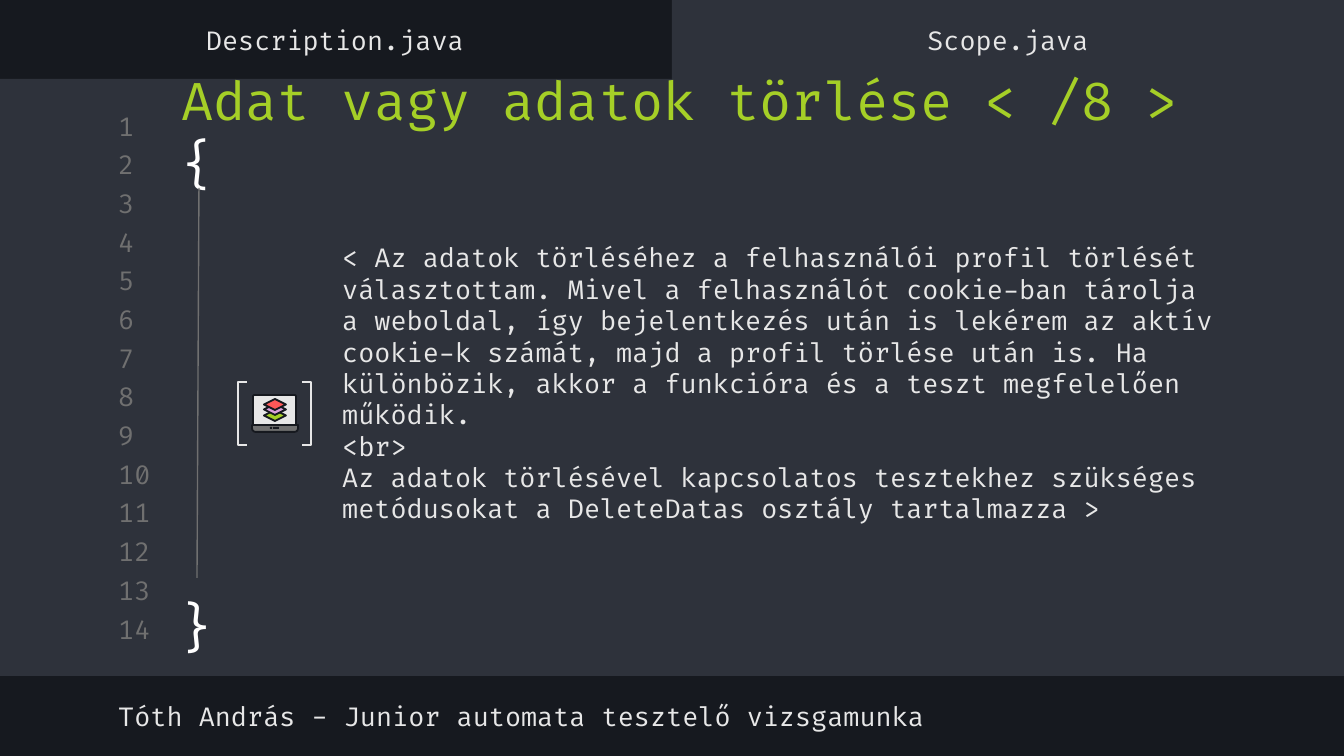
import pptx
import pptx.util
import pptx.dml.color
import pptx.enum.shapes
import pptx.enum.text
import pptx.oxml

RGB = pptx.dml.color.RGBColor
MSO = pptx.enum.shapes.MSO_SHAPE
ANCHOR = pptx.enum.text.MSO_ANCHOR
ALIGN = pptx.enum.text.PP_ALIGN

DARK = RGB(0x16, 0x19, 0x1F)
PANEL = RGB(0x2E, 0x32, 0x3B)
GREY = RGB(0x70, 0x70, 0x70)
LIGHT = RGB(0xE7, 0xE7, 0xE7)
WHITE = RGB(0xFF, 0xFF, 0xFF)
GREEN = RGB(0xA5, 0xCF, 0x27)
PURPLE = RGB(0xDB, 0xA0, 0xDB)
RED = RGB(0xFF, 0x58, 0x58)

PX = 914400 / 134.4

prs = pptx.Presentation()
prs.slide_width, prs.slide_height = round(1344 * PX), round(756 * PX)
s = prs.slides.add_slide(prs.slide_layouts[6])
s.background.fill.solid()
s.background.fill.fore_color.rgb = DARK


def add_shape(kind, box, fill=None, line=None, width=0.75):
    sp = s.shapes.add_shape(kind, *[round(v * PX) for v in box])
    sp.shadow.inherit = False
    if fill is None:
        sp.fill.background()
    else:
        sp.fill.solid()
        sp.fill.fore_color.rgb = fill
    if line is None:
        sp.line.fill.background()
    else:
        sp.line.color.rgb = line
        sp.line.width = pptx.util.Pt(width)
    return sp


def add_text(box, paragraphs, size=14, color=LIGHT, align=ALIGN.LEFT, anchor=ANCHOR.MIDDLE):
    sp = s.shapes.add_textbox(*[round(v * PX) for v in box])
    tf = sp.text_frame
    tf.word_wrap = True
    tf.vertical_anchor = anchor
    tf.margin_left = tf.margin_right = pptx.util.Inches(0.1)
    tf.margin_top = tf.margin_bottom = pptx.util.Inches(0.1)
    tf.text = "\n".join(paragraphs)
    for p in tf.paragraphs:
        p.alignment = align
        p.font.name = "Fira Code"
        p.font.size = pptx.util.Pt(size)
        p.font.color.rgb = color
    return tf


add_shape(MSO.RECTANGLE, (0, 79, 1344, 597), PANEL)
add_shape(MSO.RECTANGLE, (672, 0, 672, 87), PANEL)

for i in range(14):
    add_text((105, 110 + i * 503 // 13, 63, 32), [str(i + 1)], color=GREY)

add_text((329, 188, 913, 390), [
    "< Az adatok törléséhez a felhasználói profil törlését választottam. "
    "Mivel a felhasználót cookie-ban tárolja a weboldal, így bejelentkezés "
    "után is lekérem az aktív cookie-k számát, majd a profil törlése után is. "
    "Ha különbözik, akkor a funkcióra és a teszt megfelelően működik.",
    "<br>",
    "Az adatok törlésével kapcsolatos tesztekhez szükséges metódusokat "
    "a DeleteDatas osztály tartalmazza >",
])

tf = add_text((168, 92, 1074, 78), ["Adat vagy adatok törlése < /8 > "], 28, GREEN)
r = tf.paragraphs[0].add_run()
r.text = "{"
r.font.color.rgb = WHITE

sp = add_shape(MSO.ROUND_2_SAME_RECTANGLE, (253, 395, 43, 30), LIGHT, DARK, 1)
sp.adjustments[0] = 0.05
sp = add_shape(MSO.ROUND_2_SAME_RECTANGLE, (252, 425, 46, 7), GREY, DARK, 1)
sp.adjustments[0] = 0
sp.adjustments[1] = 0.5
for top, color in ((410, GREEN), (404, PURPLE), (399, RED)):
    add_shape(MSO.DIAMOND, (264, top, 22, 11), color, DARK, 1)
for left, width in ((270, 2), (273, 6)):
    add_shape(MSO.ROUNDED_RECTANGLE, (left, 427, width, 2), DARK)

for kind, left in ((MSO.RIGHT_BRACKET, 302), (MSO.LEFT_BRACKET, 238)):
    sp = add_shape(kind, (left, 382, 9, 63), line=LIGHT)
    sp.adjustments[0] = 0

add_text((105, 690, 1051, 53), ["Tóth András - Junior automata tesztelő vizsgamunka"])
for left, name in ((-1, "Description.java"), (672, "Scope.java")):
    add_text((left, 14, 672, 53), [name], align=ALIGN.CENTER)

ends = [round(v * PX) for v in (199, 188, 197, 578)]
cx = s.shapes.add_connector(pptx.enum.shapes.MSO_CONNECTOR.STRAIGHT, *ends)
cx.line.color.rgb = GREY
cx.line.width = pptx.util.Pt(0.75)
cx._element.spPr.append(pptx.oxml.parse_xml(
    '<a:effectLst xmlns:a="http://schemas.openxmlformats.org/drawingml/2006/main"/>'))

add_text((160, 581, 74, 90), ["}"], 28, WHITE, ALIGN.CENTER, ANCHOR.TOP)

prs.save("out.pptx")
